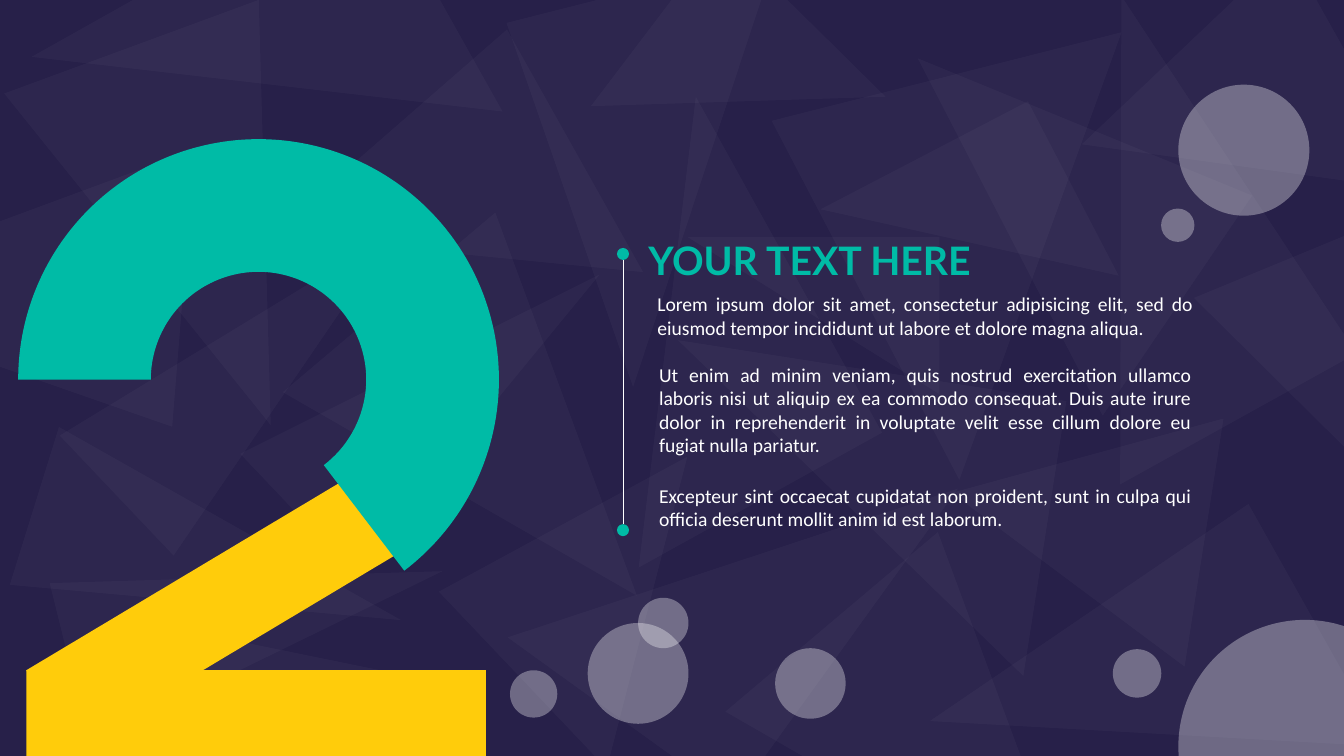
from lxml import etree
from pptx import Presentation
from pptx.dml.color import RGBColor
from pptx.enum.shapes import MSO_CONNECTOR as Connector, MSO_SHAPE as Preset
from pptx.enum.text import MSO_ANCHOR as Anchor, MSO_AUTO_SIZE as AutoSize, PP_ALIGN as Align
from pptx.oxml.ns import qn
from pptx.util import Pt

NAVY, TEAL, YELLOW, WHITE = "272049", "00BBA6", "FFCC0B", "FFFFFF"

# Faint background triangles: left, top, width, height, rotation, apex position
TRIANGLES = [
    (96.5, 265, 118.1, 274.3, 107.3, 0.5),
    (123.8, 303.8, 118.1, 274.3, 76.1, 0.5),
    (46.8, 24.5, 193.7, 288, 159.8, 0.5),
    (123.8, 122.4, 118.1, 274.3, 46.5, 0.5),
    (357.1, 321.1, 174.2, 195.1, 46.5, 0.3),
    (267.1, 183.6, 198.7, 274.3, 139.8, 0.5),
    (679.7, 281.5, 179.3, 183.6, 278.9, 0.54),
    (508.3, 222.5, 198.7, 280.8, 278.9, 1),
    (424.1, 265, 198.7, 274.3, 35.8, 1),
    (714.2, 13.7, 193, 304.6, 331, 0.88),
    (377.3, 100.1, 198.7, 274.3, 331, 1),
    (437.8, -10.8, 164.9, 152.6, 224.6, 0.88),
    (581.8, 50.4, 257.8, 281.5, 165.8, 0.74),
    (392.4, -12.2, 198.7, 274.3, 165.8, 0.88),
    (216, 51.8, 198.7, 218.9, 240.7, 0.77),
    (721.4, 376.6, 198.7, 274.3, 240.7, 0.88),
    (524.9, 135.4, 112.3, 180, 270, 1),
    (-105.1, 57.6, 198.7, 274.3, 274.6, 0.36),
    (91.4, -77, 198.7, 274.3, 240.7, 1),
    (783.4, 0, 198.7, 196.6, 240.7, 0.75),
    (252.7, 135.4, 118.1, 274.3, 46.5, 0.71),
    (583.2, 411.8, 198.7, 274.3, 139.8, 0.5),
    (896.4, 158.4, 231.1, 274.3, 157.6, 0.5),
    (67.7, 420.5, 209.5, 182.9, 308.3, 0.56),
    (641.5, 20.9, 190.1, 252.7, 304.2, 0.72),
    (609.1, 103, 167, 140.4, 152.5, 0),
]

# Translucent bubbles: left, top, diameter
BUBBLES = [
    (364.3, 478.8, 33.8), (419.8, 445, 72), (455.8, 427, 36), (829.4, 149, 23.8),
    (841.7, 60.5, 93.6), (553.7, 463, 50.4), (841.7, 442.8, 180.7), (794.9, 463.7, 34.6),
]

# Paragraph boxes: top, height, side inset, top and bottom inset, wording
PARAGRAPHS = [
    (205.9, 38.9, 5.8, 2.9,
     "Lorem ipsum dolor sit amet, consectetur adipisicing elit, sed do "
     "eiusmod tempor incididunt ut labore et dolore magna aliqua."),
    (255.6, 74.9, 7.2, 3.6,
     "Ut enim ad minim veniam, quis nostrud exercitation ullamco laboris nisi ut "
     "aliquip ex ea commodo consequat. Duis aute irure dolor in reprehenderit in "
     "voluptate velit esse cillum dolore eu fugiat nulla pariatur."),
    (342, 41, 7.2, 3.6,
     "Excepteur sint occaecat cupidatat non proident, sunt in culpa qui officia "
     "deserunt mollit anim id est laborum."),
]


def color(value):
    return RGBColor.from_string(value)


def add_filled(shapes, preset, left, top, width, height, fill, rotation=0, adjust=(), opacity=100):
    shape = shapes.add_shape(preset, Pt(left), Pt(top), Pt(width), Pt(height))
    shape.shadow.inherit = False
    shape.rotation = rotation
    for index, value in enumerate(adjust):
        shape.adjustments[index] = value
    shape.fill.solid()
    shape.fill.fore_color.rgb = color(fill)
    shape.line.fill.background()
    if opacity < 100:
        tint = shape.element.spPr.find(qn("a:solidFill"))[0]
        etree.SubElement(tint, qn("a:alpha")).set("val", str(opacity * 1000))
    return shape


def add_span(para, text, font, size, fill, bold=False):
    span = para.add_run()
    span.text = text
    span.font.name = font
    span.font.size = Pt(size)
    span.font.bold = bold
    span.font.color.rgb = color(fill)


def add_background(page):
    page.background.fill.solid()
    page.background.fill.fore_color.rgb = color(NAVY)
    for left, top, width, height, rotation, apex in TRIANGLES:
        add_filled(page.shapes, Preset.ISOSCELES_TRIANGLE, left, top, width, height,
                   WHITE, rotation, [apex], opacity=3)


def add_digit_two(page):
    digit = page.shapes.add_group_shape().shapes
    add_filled(digit, Preset.RECTANGLE, 125.3, 290.9, 64.8, 285.1, YELLOW, 59.1)
    add_filled(digit, Preset.BLOCK_ARC, 13, 99.4, 343.4, 343.4, TEAL, adjust=[108, 31.61, 0.276])
    add_filled(digit, Preset.RECTANGLE, 150.5, 347, 64.8, 328.3, YELLOW, 90)


def set_title(page, text):
    title = page.shapes.title
    title.left, title.top, title.width, title.height = Pt(455.8), Pt(164.9), Pt(244.8), Pt(41)
    # Bring the title in front of the background
    title.element.getparent().append(title.element)
    frame = title.text_frame
    frame.word_wrap = False
    frame.auto_size = AutoSize.SHAPE_TO_FIT_TEXT
    frame.vertical_anchor = Anchor.TOP
    para = frame.paragraphs[0]
    para.alignment = Align.CENTER
    add_span(para, text, "Lato", 28, TEAL, bold=True)


def add_paragraph_box(page, top, height, side, edge, text):
    box = page.shapes.add_textbox(Pt(463.7), Pt(top), Pt(394.6), Pt(height))
    frame = box.text_frame
    frame.word_wrap = True
    frame.auto_size = AutoSize.SHAPE_TO_FIT_TEXT
    frame.margin_left = frame.margin_right = Pt(side)
    frame.margin_top = frame.margin_bottom = Pt(edge)
    para = frame.paragraphs[0]
    para.alignment = Align.JUSTIFY
    para.space_after = Pt(6)
    add_span(para, text, "Calibri", 14, WHITE)


def add_dotted_rule(page, x, top, bottom, dot=8.6):
    rule = page.shapes.add_connector(Connector.STRAIGHT, Pt(x), Pt(top), Pt(x), Pt(bottom))
    rule.line.color.rgb = color(WHITE)
    rule.line.width = Pt(0.5)
    etree.SubElement(rule.element.spPr, qn("a:effectLst"))
    for y in (top, bottom):
        add_filled(page.shapes, Preset.OVAL, x - dot / 2, y, dot, dot, TEAL)


def main():
    deck = Presentation()
    deck.slide_width, deck.slide_height = Pt(960), Pt(540)
    page = deck.slides.add_slide(deck.slide_layouts[5])

    # Backdrop and large numeral
    add_background(page)
    add_digit_two(page)

    # Text column
    set_title(page, "YOUR TEXT HERE")
    add_dotted_rule(page, 445, 177.1, 374.4)
    for paragraph in PARAGRAPHS:
        add_paragraph_box(page, *paragraph)

    # Floating bubbles
    for left, top, diameter in BUBBLES:
        add_filled(page.shapes, Preset.OVAL, left, top, diameter, diameter, WHITE, opacity=33)

    deck.save("out.pptx")


if __name__ == "__main__":
    main()
